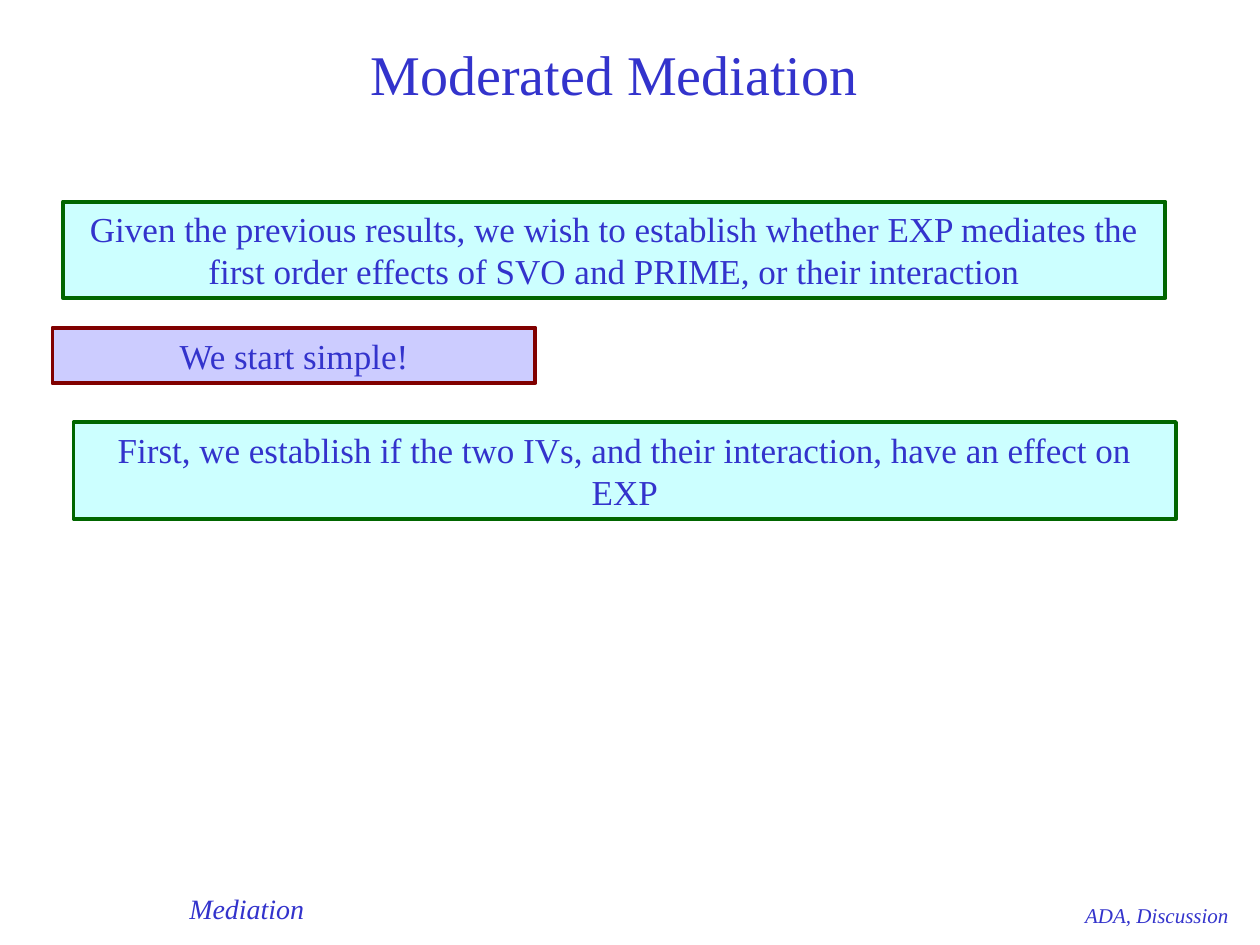
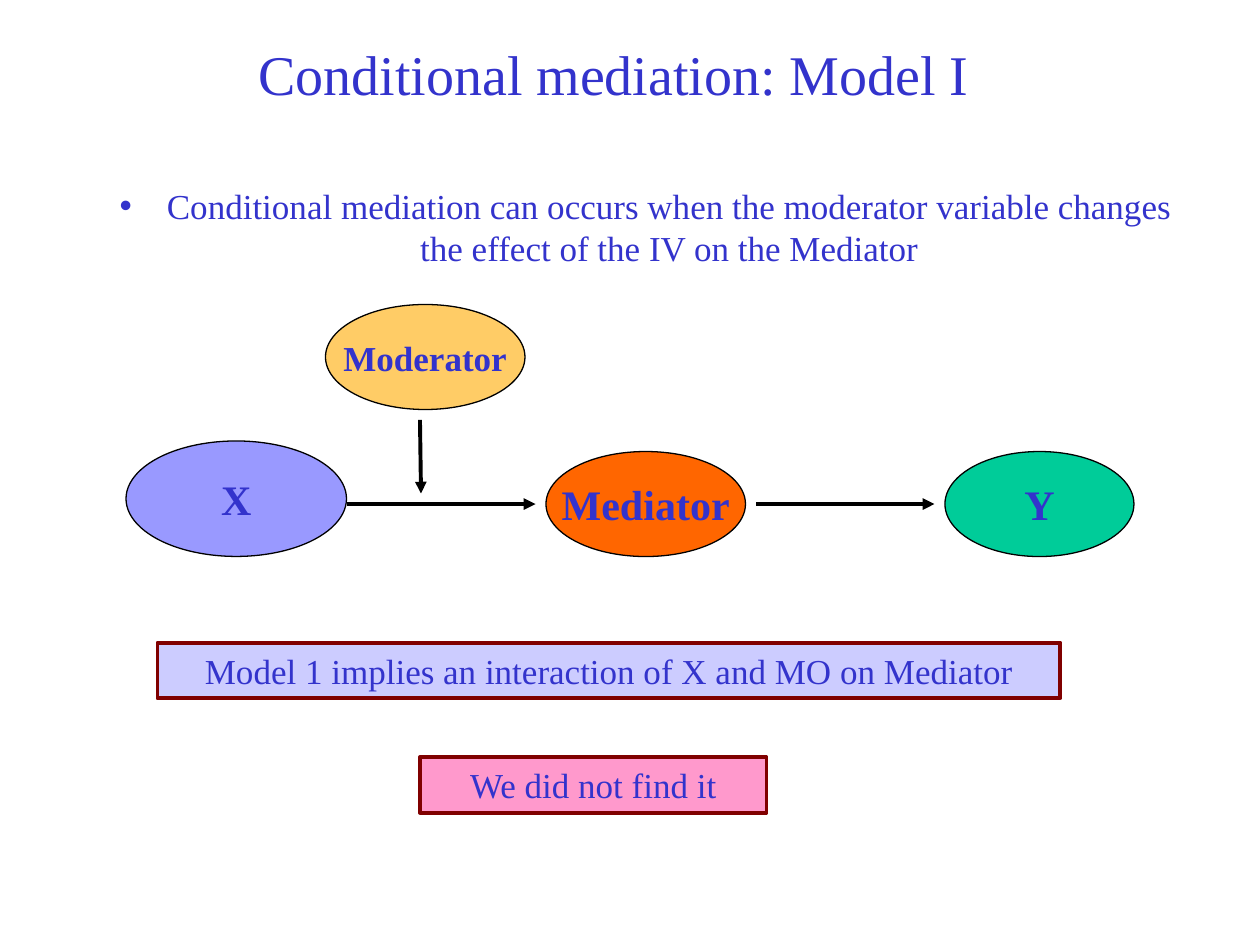
"""Build two slides on moderated and conditional mediation."""
from dataclasses import dataclass

from lxml.etree import SubElement as Sub
from pptx import Presentation as Deck
from pptx.dml.color import RGBColor as Color
from pptx.enum.shapes import MSO_CONNECTOR as Wire, MSO_SHAPE as Form
from pptx.enum.text import MSO_ANCHOR as Anchor, MSO_AUTO_SIZE as Fit, PP_ALIGN as Align
from pptx.oxml.ns import qn
from pptx.shapes.autoshape import Shape
from pptx.slide import Slide
from pptx.util import Emu, Pt

SCALE = 7620


@dataclass(frozen=True)
class Theme:
    font: str = "Times New Roman"
    ink: str = "3333CC"
    black: str = "000000"
    aqua: str = "CCFFFF"
    green: str = "006600"
    lilac: str = "CCCCFF"
    maroon: str = "800000"
    pink: str = "FF99CC"
    gold: str = "FFCC66"
    violet: str = "9999FF"
    orange: str = "FF6600"
    teal: str = "00CC99"
    title: int = 32
    node: int = 24
    body: int = 20
    foot: int = 16
    note: int = 12
    thick: float = 2.25
    thin: float = 0.75


THEME = Theme()


@dataclass(frozen=True)
class Area:
    left: int
    top: int
    width: int
    height: int

    def spans(self) -> list[Emu]:
        return [px(n) for n in (self.left, self.top, self.width, self.height)]


@dataclass(frozen=True)
class Panel:
    text: str
    area: Area
    fill: str
    edge: str = THEME.maroon


@dataclass(frozen=True)
class Node:
    text: str
    area: Area
    fill: str
    size: int = THEME.node


@dataclass(frozen=True)
class Arrow:
    start: tuple[int, int]
    end: tuple[int, int]


@dataclass(frozen=True)
class Label:
    text: str
    area: Area
    size: int
    align: Align
    anchor: Anchor


TITLE = Area(200, 30, 770, 80)
POINT = Area(80, 170, 1070, 92)

FEET = (
    Label("Mediation", Area(10, 840, 450, 50), THEME.foot, Align.CENTER, Anchor.MIDDLE),
    Label("ADA, Discussion", Area(1010, 854, 172, 36), THEME.note, Align.RIGHT, Anchor.TOP),
)
STEPS = (
    Panel("Given the previous results, we wish to establish whether EXP mediates the "
          "first order effects of SVO and PRIME, or their interaction",
          Area(60, 192, 1050, 92), THEME.aqua, THEME.green),
    Panel("We start simple!", Area(50, 312, 460, 53), THEME.lilac),
    Panel("First, we establish if the two IVs, and their interaction, have an effect on EXP",
          Area(70, 402, 1050, 92), THEME.aqua, THEME.green),
)
NODES = (
    Node("Y", Area(900, 430, 180, 100), THEME.teal),
    Node("X", Area(120, 420, 210, 110), THEME.violet),
    Node("Mediator", Area(520, 430, 190, 100), THEME.orange),
    Node("Moderator", Area(310, 290, 190, 100), THEME.gold, THEME.body),
)
ARROWS = (
    Arrow((330, 480), (510, 480)),
    Arrow((720, 480), (890, 480)),
    Arrow((400, 400), (401, 470)),
)
NOTES = (
    Panel("Model 1 implies an interaction of X and MO on Mediator",
          Area(150, 612, 860, 53), THEME.lilac),
    Panel("We did not find it", Area(400, 721, 330, 53), THEME.pink),
)


def px(count: int) -> Emu:
    return Emu(count * SCALE)


def write(shape: Shape, text: str, size: int, align: Align = Align.CENTER,
          anchor: Anchor = Anchor.MIDDLE, bold: bool = False,
          slant: bool = False, wrap: bool = True) -> None:
    frame = shape.text_frame
    frame.text = text
    frame.word_wrap = wrap
    frame.auto_size = Fit.NONE
    frame.vertical_anchor = anchor
    para = frame.paragraphs[0]
    para.alignment = align
    para.space_before = Pt(0)
    for run in para.runs:
        font = run.font
        font.name, font.size = THEME.font, Pt(size)
        font.bold, font.italic = bold, slant
        font.color.rgb = Color.from_string(THEME.ink)


def place(shape: Shape, area: Area) -> None:
    shape.left, shape.top, shape.width, shape.height = area.spans()


def shape_on(slide: Slide, form: Form, area: Area, fill: str,
             edge: str, width: float) -> Shape:
    shape = slide.shapes.add_shape(form, *area.spans())
    shape.shadow.inherit = False
    shape.fill.solid()
    shape.fill.fore_color.rgb = Color.from_string(fill)
    shape.line.color.rgb = Color.from_string(edge)
    shape.line.width = Pt(width)
    return shape


def draw_panel(slide: Slide, panel: Panel) -> None:
    shape = shape_on(slide, Form.RECTANGLE, panel.area, panel.fill, panel.edge, THEME.thick)
    write(shape, panel.text, THEME.body)


def draw_node(slide: Slide, node: Node) -> None:
    shape = shape_on(slide, Form.OVAL, node.area, node.fill, THEME.black, THEME.thin)
    write(shape, node.text, node.size, bold=True, wrap=False)


def draw_arrow(slide: Slide, arrow: Arrow) -> None:
    ends = [px(n) for n in arrow.start + arrow.end]
    wire = slide.shapes.add_connector(Wire.STRAIGHT, *ends)
    wire.line.color.rgb = Color.from_string(THEME.black)
    wire.line.width = Pt(THEME.thick)
    Sub(wire.line._get_or_add_ln(), qn("a:tailEnd"), type="triangle")
    Sub(wire._element.spPr, qn("a:effectLst"))


def draw_label(slide: Slide, label: Label) -> None:
    box = slide.shapes.add_textbox(*label.area.spans())
    write(box, label.text, label.size, label.align, label.anchor, slant=True)


def draw_point(slide: Slide, text: str) -> None:
    body = slide.placeholders[1]
    place(body, POINT)
    props = body.text_frame.paragraphs[0]._p.get_or_add_pPr()
    props.set("marL", str(px(60)))
    props.set("indent", str(px(-60)))
    Sub(props, qn("a:buSzPct"), val="103000")
    Sub(props, qn("a:buFont"), typeface=THEME.font)
    Sub(props, qn("a:buChar"), char="•")
    write(body, text, THEME.body, anchor=Anchor.TOP)


def add_slide(deck: Deck, kind: int, title: str) -> Slide:
    slide = deck.slides.add_slide(deck.slide_layouts[kind])
    place(slide.shapes.title, TITLE)
    write(slide.shapes.title, title, THEME.title)
    return slide


def main() -> None:
    deck = Deck()
    deck.slide_width, deck.slide_height = px(1200), px(900)

    slide = add_slide(deck, 5, "Moderated Mediation")
    for label in FEET:
        draw_label(slide, label)
    for panel in STEPS:
        draw_panel(slide, panel)

    slide = add_slide(deck, 1, "Conditional mediation: Model I")
    draw_point(slide, "Conditional mediation can occurs when the moderator variable "
                      "changes the effect of the IV on the Mediator")
    for node in NODES:
        draw_node(slide, node)
    for arrow in ARROWS:
        draw_arrow(slide, arrow)
    for panel in NOTES:
        draw_panel(slide, panel)

    deck.save("out.pptx")


if __name__ == "__main__":
    main()
